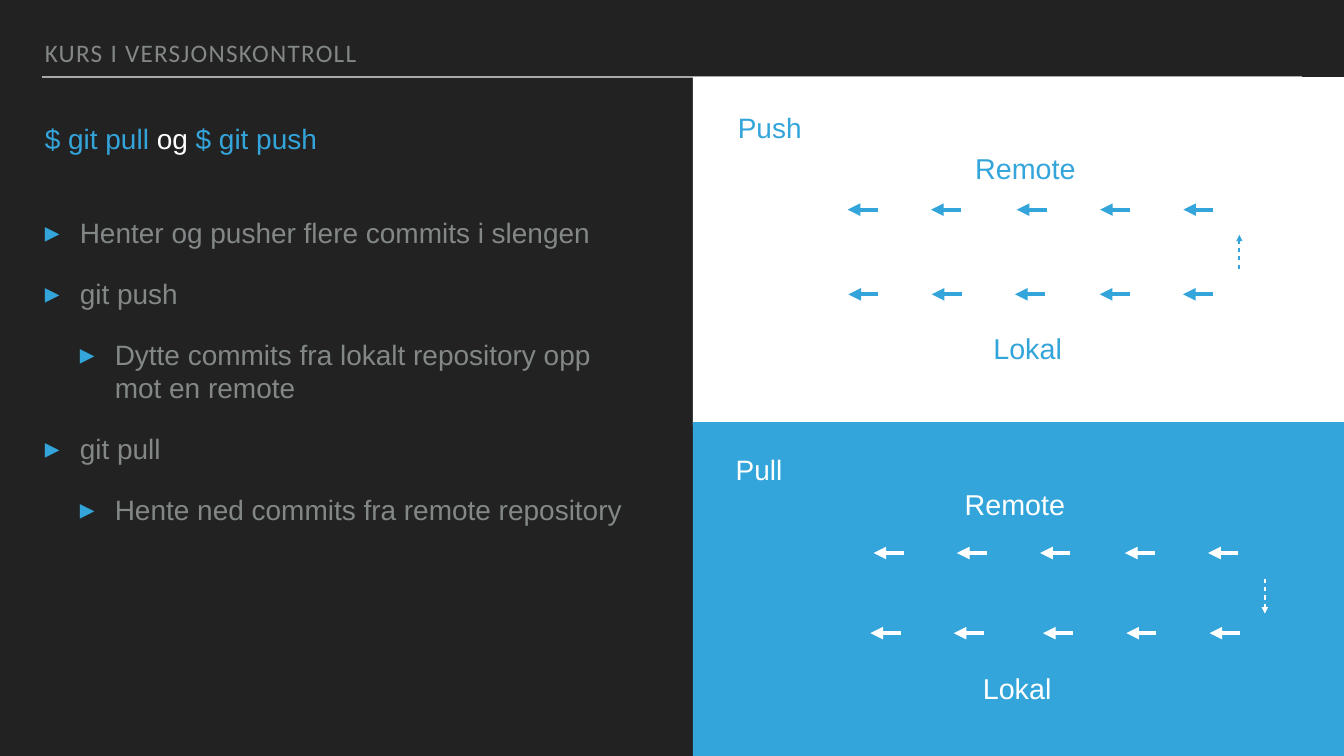
from dataclasses import dataclass

from lxml.etree import SubElement
from pptx import Presentation
from pptx.dml.color import RGBColor
from pptx.enum.shapes import MSO_CONNECTOR, MSO_SHAPE
from pptx.enum.text import MSO_ANCHOR, MSO_AUTO_SIZE, PP_ALIGN
from pptx.oxml.ns import qn
from pptx.util import Pt


@dataclass(frozen=True)
class Theme:
    dark: str = "222222"
    white: str = "FFFFFF"
    blue: str = "34A5DA"
    gray: str = "838787"
    rule: str = "A6AAA9"
    heading_font: str = "Calibri"
    body_font: str = "Arial"
    heading_size: int = 36
    body_size: int = 40
    label_size: int = 41
    space_before: int = 39
    indent: int = 50
    inset: float = 4


THEME = Theme()
ARROW_COUNT, ARROW_PITCH, ARROW_LENGTH = 5, 119, 43


def rgb(color):
    return RGBColor.from_string(color)


def place(box, left, top, width, height):
    box.left, box.top, box.width, box.height = (Pt(v) for v in (left, top, width, height))


def prepare_frame(box, anchor, wrap=True):
    frame = box.text_frame
    frame.word_wrap = wrap
    frame.auto_size = MSO_AUTO_SIZE.NONE
    frame.vertical_anchor = anchor
    frame.margin_left = frame.margin_right = Pt(THEME.inset)
    frame.margin_top = frame.margin_bottom = Pt(THEME.inset)
    return frame


def style_span(span, color, size=THEME.body_size, font=THEME.body_font):
    span.font.name, span.font.size = font, Pt(size)
    span.font.color.rgb = rgb(color)


def add_line(page, start, end, color, width, arrow=False, dashed=False):
    ends = [Pt(v) for v in (*start, *end)]
    line = page.shapes.add_connector(MSO_CONNECTOR.STRAIGHT, *ends)
    line.line.color.rgb, line.line.width = rgb(color), Pt(width)
    stroke = line.line._get_or_add_ln()
    if dashed:
        dashes = SubElement(stroke, qn("a:custDash"))
        SubElement(dashes, qn("a:ds"), d="200000", sp="200000")
    if arrow:
        SubElement(stroke, qn("a:tailEnd"), type="triangle")
    SubElement(line._element.spPr, qn("a:effectLst"))


def add_label(page, text, left, top, width, color, size):
    box = page.shapes.add_textbox(Pt(left), Pt(top), Pt(width), Pt(57))
    frame = prepare_frame(box, MSO_ANCHOR.MIDDLE, wrap=False)
    frame.text = text
    style_span(frame.paragraphs[0].runs[0], color, size)


def add_header(page, left, top, width, height):
    add_line(page, (left, 110), (1860, 110), THEME.rule, 2)
    box = page.shapes.add_textbox(Pt(left), Pt(top), Pt(width), Pt(height))
    frame = prepare_frame(box, MSO_ANCHOR.BOTTOM)
    frame.text = "KURS I VERSJONSKONTROLL"
    para = frame.paragraphs[0]
    para.line_spacing = 0.8
    span = para.runs[0]
    style_span(span, THEME.gray, THEME.heading_size, THEME.heading_font)
    span.font._element.set("spc", "180")


def fill_title(box, *bounds):
    place(box, *bounds)
    para = prepare_frame(box, MSO_ANCHOR.TOP).paragraphs[0]
    para.alignment = PP_ALIGN.LEFT
    for text, color in (("$ git pull ", THEME.blue), ("og", THEME.white),
                        (" $ git push", THEME.blue)):
        span = para.add_run()
        span.text = text
        style_span(span, color)


def add_bullet(para):
    properties = para._p.get_or_add_pPr()
    properties.set("marL", str(Pt(THEME.indent * (para.level + 1))))
    properties.set("indent", str(-Pt(THEME.indent)))
    color = SubElement(properties, qn("a:buClr"))
    SubElement(color, qn("a:srgbClr"), val=THEME.blue)
    SubElement(properties, qn("a:buSzPct"), val="105000")
    SubElement(properties, qn("a:buFont"), typeface=THEME.body_font)
    SubElement(properties, qn("a:buChar"), char="▸")


def fill_body(box, *bounds):
    place(box, *bounds)
    frame = prepare_frame(box, MSO_ANCHOR.TOP)
    items = (
        ("Henter og pusher flere commits i slengen", 0),
        ("git push", 0),
        ("Dytte commits fra lokalt repository opp mot en remote", 1),
        ("git pull", 0),
        ("Hente ned commits fra remote repository", 1),
    )
    frame.text = "\n".join(text for text, _ in items)
    for index, (para, (_, level)) in enumerate(zip(frame.paragraphs, items)):
        para.level = level
        add_bullet(para)
        para.space_before = Pt(THEME.space_before if index else 0)
        style_span(para.runs[0], THEME.gray)


def add_commit_row(page, left, top, split, extra, color):
    """Evenly spaced arrows, with an extra gap before the arrow at split."""
    for index in range(ARROW_COUNT):
        tip = left + index * ARROW_PITCH + (extra if index >= split else 0)
        add_line(page, (tip + ARROW_LENGTH, top), (tip, top), color, 6, arrow=True)


def add_panel(page, left, top, width, height, fill, color, labels, rows, transfer):
    panel = page.shapes.add_shape(MSO_SHAPE.RECTANGLE, Pt(left), Pt(top), Pt(width), Pt(height))
    panel.shadow.inherit = False
    panel.fill.solid()
    panel.fill.fore_color.rgb = rgb(fill)
    panel.line.fill.background()
    # Heading and repository names
    for text, x, y, label_width, size in labels:
        add_label(page, text, left + x, top + y, label_width, color, size)
    # Commit histories
    for x, y, split, extra in rows:
        add_commit_row(page, left + x, top + y, split, extra, color)
    # Direction of transfer
    x, start, end = transfer
    add_line(page, (left + x, top + start), (left + x, top + end), color, 3,
             arrow=True, dashed=True)


def main():
    deck = Presentation()
    deck.slide_width, deck.slide_height = Pt(1920), Pt(1080)
    page = deck.slides.add_slide(deck.slide_layouts[1])
    page.background.fill.solid()
    page.background.fill.fore_color.rgb = rgb(THEME.dark)

    # Left side
    add_header(page, 60, 50, 1650, 50)
    fill_title(page.shapes.title, 60, 169, 930, 80)
    fill_body(page.placeholders[1], 60, 304, 838, 614)

    # Push above pull
    add_panel(
        page, 990, 110, 930, 497, THEME.white, THEME.blue,
        labels=(("Push", 60, 43, 103, THEME.body_size),
                ("Remote", 399, 101, 166, THEME.label_size),
                ("Lokal", 425, 359, 115, THEME.label_size)),
        rows=((221, 189.5, 2, 3.5), (222, 310.5, 3, 2)),
        transfer=(780.5, 274, 225.5),
    )
    add_panel(
        page, 990, 603, 930, 497, THEME.blue, THEME.white,
        labels=(("Pull", 57, 38.5, 79, THEME.body_size),
                ("Remote", 384, 88.5, 166, THEME.label_size),
                ("Lokal", 410, 352, 115, THEME.label_size)),
        rows=((258, 187, 3, 2), (253.5, 301.5, 2, 8.5)),
        transfer=(817, 223.5, 273.5),
    )
    deck.save("out.pptx")


if __name__ == "__main__":
    main()
